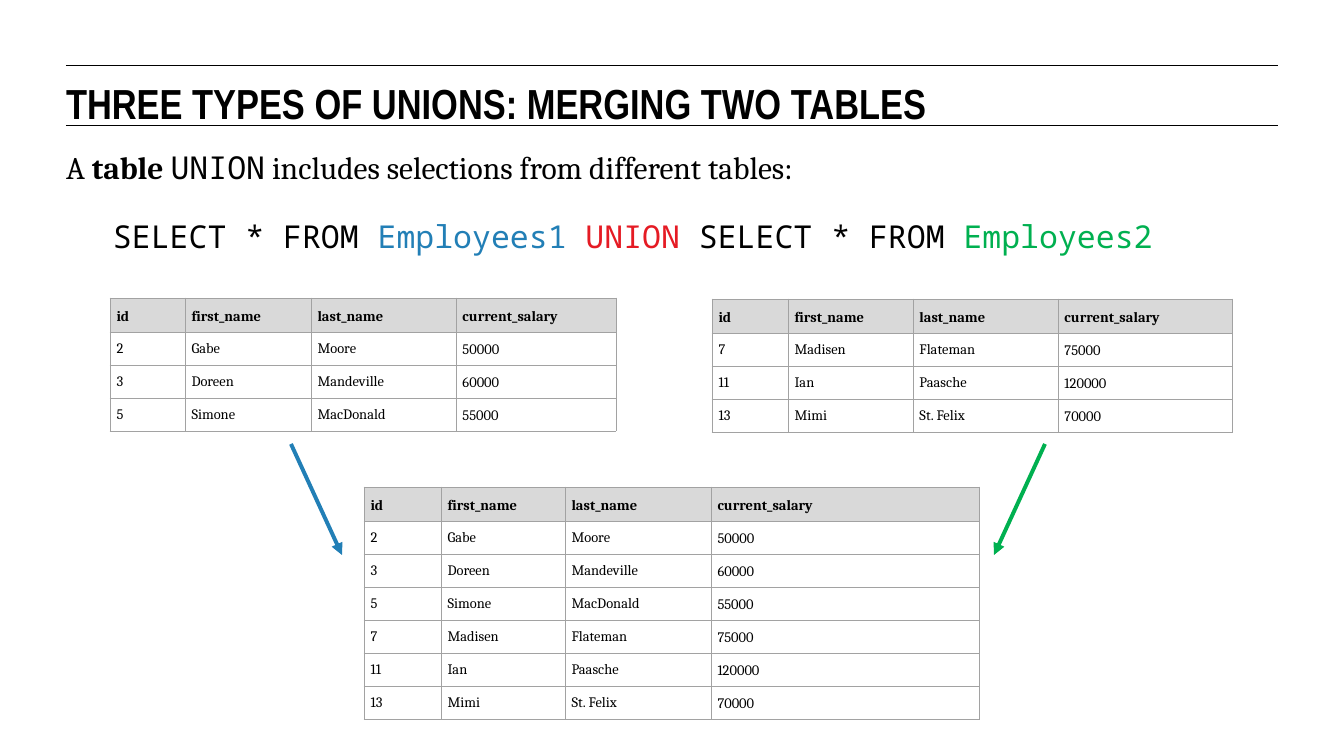
from lxml.etree import SubElement
from pptx import Presentation
from pptx.dml.color import RGBColor
from pptx.enum.shapes import MSO_CONNECTOR
from pptx.enum.text import MSO_ANCHOR
from pptx.oxml.ns import qn
from pptx.util import Emu, Pt

PX = 914400 / 94.5
SERIF, MONO, NARROW = "Cambria", "Noto Sans Mono", "Arial Narrow"
BLACK, BLUE, RED, GREEN = "000000", "227FB6", "E51B24", "00B050"
HEADER_FILL, BORDER = "D9D9D9", "A2A2A2"
HEADINGS = ("id", "first_name", "last_name", "current_salary")
EMPLOYEES1 = [
    ("2", "Gabe", "Moore", "50000"),
    ("3", "Doreen", "Mandeville", "60000"),
    ("5", "Simone", "MacDonald", "55000"),
]
EMPLOYEES2 = [
    ("7", "Madisen", "Flateman", "75000"),
    ("11", "Ian", "Paasche", "120000"),
    ("13", "Mimi", "St. Felix", "70000"),
]


def px(length):
    """Turn pixels into EMU."""
    return Emu(round(length * PX))


def color(value):
    """Turn a hex string into a colour."""
    return RGBColor.from_string(value)


def style(font, name=None, size=None, hue=None, bold=None):
    """Set the given properties of a font."""
    if name:
        font.name = name
    if size:
        font.size = Pt(size)
    if hue:
        font.color.rgb = color(hue)
    if bold is not None:
        font.bold = bold


def add_line(page, start, end, hue, width, arrow=False):
    """Draw a straight line, with an arrowhead at its end if asked."""
    line = page.shapes.add_connector(
        MSO_CONNECTOR.STRAIGHT, *map(px, start), *map(px, end))
    line.line.color.rgb = color(hue)
    line.line.width = Pt(width)
    if arrow:
        SubElement(line.line._get_or_add_ln(), qn("a:tailEnd"), type="triangle")
    SubElement(line._element.spPr, qn("a:effectLst"))


def add_text_frame(page, left, top, width, height):
    """Add a wrapping text box without margins and return its frame."""
    frame = page.shapes.add_textbox(*map(px, (left, top, width, height))).text_frame
    frame.word_wrap = True
    frame.margin_left = frame.margin_top = frame.margin_right = frame.margin_bottom = 0
    return frame


def add_title(page, left, top, width, height):
    """Place the title between two rules that span the box."""
    for y in (top, top + height):
        add_line(page, (left, y), (left + width, y), BLACK, 0.75)
    para = add_text_frame(page, left, top + 12, width, height - 17).paragraphs[0]
    para.text = "THREE TYPES OF UNIONS: MERGING TWO TABLES"
    style(para.font, NARROW, 32, BLACK, True)


def add_body(page, left, top, width, height):
    """Write the explanation and the indented query."""
    frame = add_text_frame(page, left, top, width, height)
    intro, query = frame.paragraphs[0], frame.add_paragraph()
    style(intro.font, size=24, hue=BLACK)
    for text, name, bold in (
        ("A ", SERIF, False),
        ("table ", SERIF, True),
        ("UNION", MONO, False),
        (" includes selections from different tables:", SERIF, False),
    ):
        span = intro.add_run()
        span.text = text
        style(span.font, name, bold=bold)
    query.space_before = Pt(24)
    query._p.get_or_add_pPr().set("indent", str(px(47)))
    style(query.font, MONO, 24)
    for text, hue in (
        ("SELECT * FROM ", BLACK),
        ("Employees1 ", BLUE),
        ("UNION", RED),
        (" SELECT * FROM ", BLACK),
        ("Employees2", GREEN),
    ):
        span = query.add_run()
        span.text = text
        style(span.font, hue=hue)


def add_borders(cell):
    """Draw a thin grey line on each side of a cell."""
    properties = cell._tc.get_or_add_tcPr()
    for position, side in enumerate(("a:lnL", "a:lnR", "a:lnT", "a:lnB")):
        line = SubElement(properties, qn(side), w=str(Pt(0.75)))
        properties.insert(position, line)
        SubElement(SubElement(line, qn("a:solidFill")), qn("a:srgbClr"), val=BORDER)


def fill_cell(cell, text, header, spacing):
    """Write and format one cell."""
    cell.margin_left = cell.margin_top = cell.margin_right = cell.margin_bottom = Pt(5)
    cell.vertical_anchor = MSO_ANCHOR.MIDDLE
    if header:
        cell.fill.solid()
        cell.fill.fore_color.rgb = color(HEADER_FILL)
    else:
        cell.fill.background()
    add_borders(cell)
    para = cell.text_frame.paragraphs[0]
    para.text = text
    para.line_spacing = spacing
    style(para.font, SERIF, 11, BLACK, header)


def add_employees(page, left, top, widths, height, records):
    """Place a table of employees under the headings."""
    rows = [HEADINGS, *records]
    table = page.shapes.add_table(
        len(rows), len(HEADINGS), px(left), px(top), px(sum(widths)), px(height)).table
    table.first_row = table.horz_banding = False
    for column, width in zip(table.columns, widths):
        column.width = px(width)
    for number, record in enumerate(rows):
        table.rows[number].height = px(height / len(rows))
        for place, text in enumerate(record):
            header = number == 0
            salary = place == len(HEADINGS) - 1
            spacing = 1.2 if header else 1.15 if salary else 1.0
            fill_cell(table.cell(number, place), text, header, spacing)


def add_union(page, left, top):
    """Place both source tables, the merged table and the arrows between."""
    add_employees(page, left + 254, top + 189, (77, 124, 146, 268), 228,
                  EMPLOYEES1 + EMPLOYEES2)
    add_employees(page, left, top, (75, 126, 145, 160), 132, EMPLOYEES1)
    add_employees(page, left + 602, top + 1, (76, 125, 145, 175), 130, EMPLOYEES2)
    for start, end, hue in ((935, 884, GREEN), (181, 232, BLUE)):
        add_line(page, (left + start, top + 146), (left + end, top + 257),
                 hue, 3, arrow=True)


def main():
    """Build and save the deck."""
    deck = Presentation()
    deck.slide_width, deck.slide_height = px(1344), px(755)
    page = deck.slides.add_slide(deck.slide_layouts[6])
    add_title(page, 66, 65, 1212, 61)
    add_body(page, 66, 148, 1212, 366)
    add_union(page, 110, 298)
    deck.save("out.pptx")


if __name__ == "__main__":
    main()
